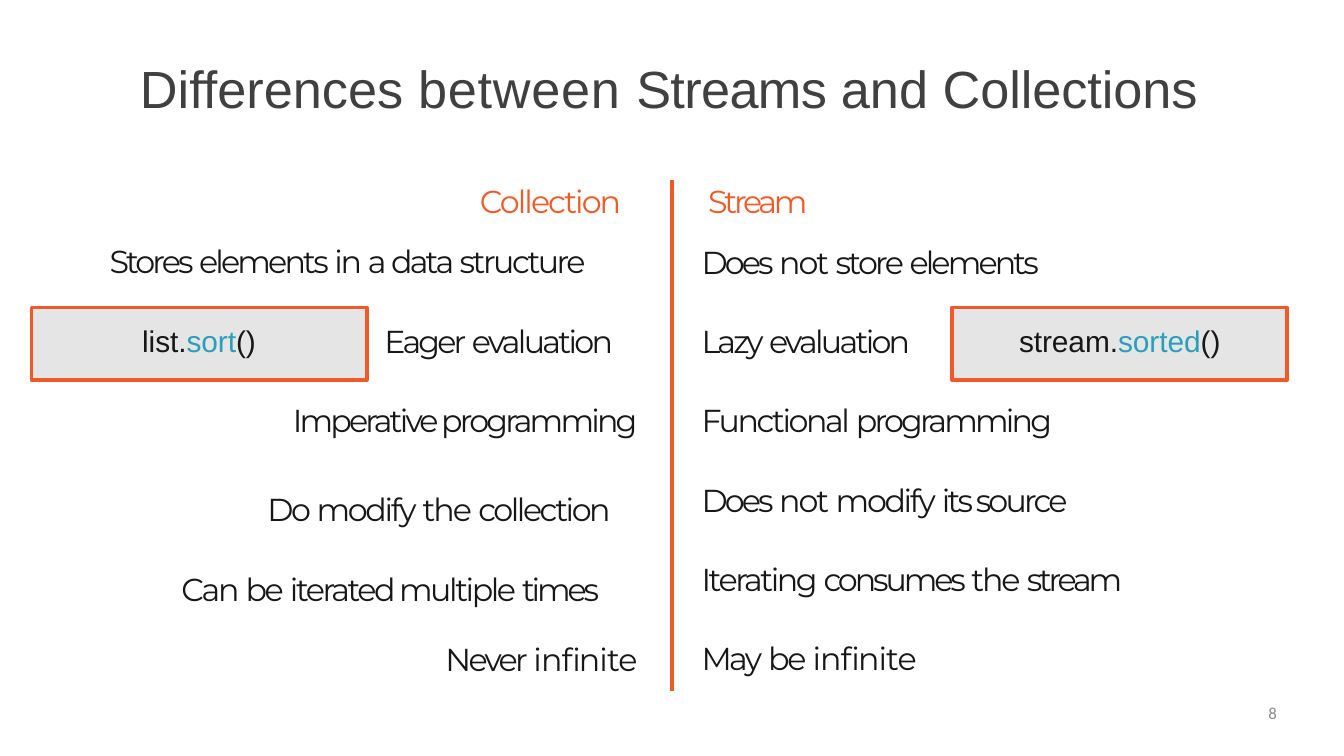
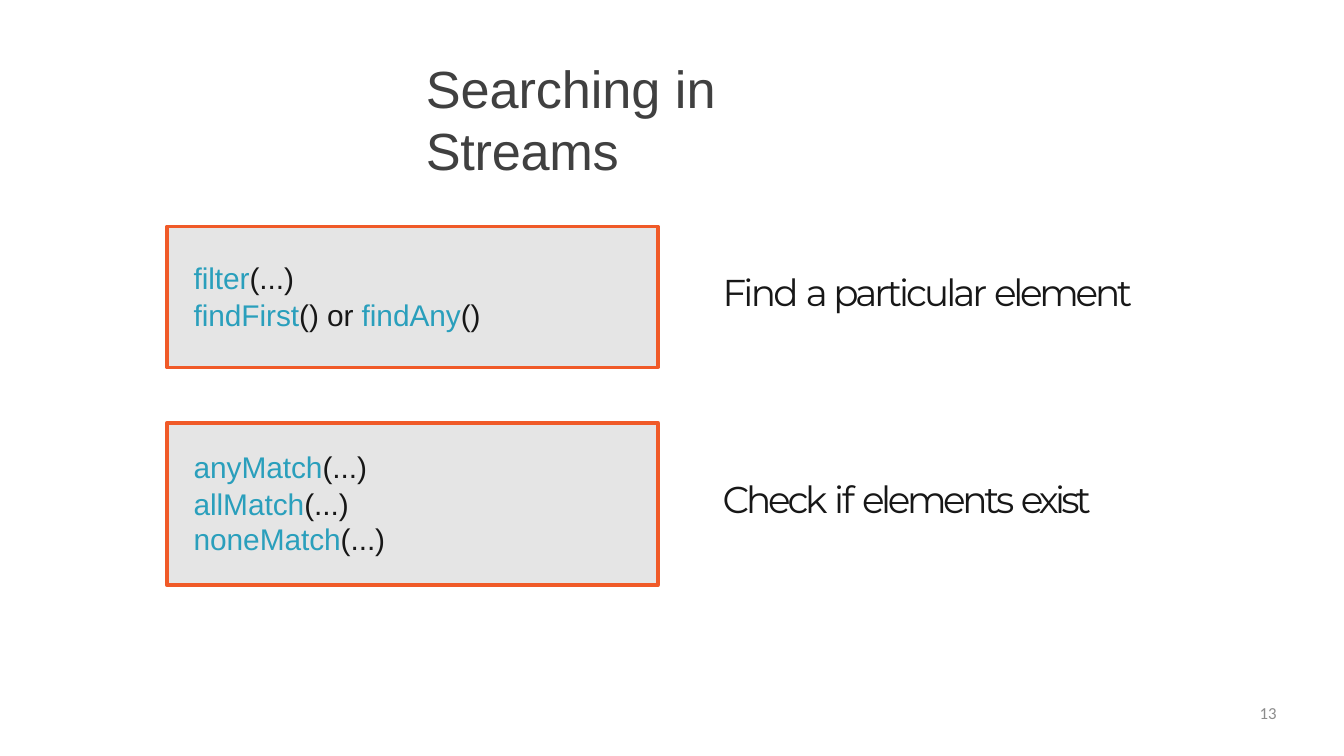
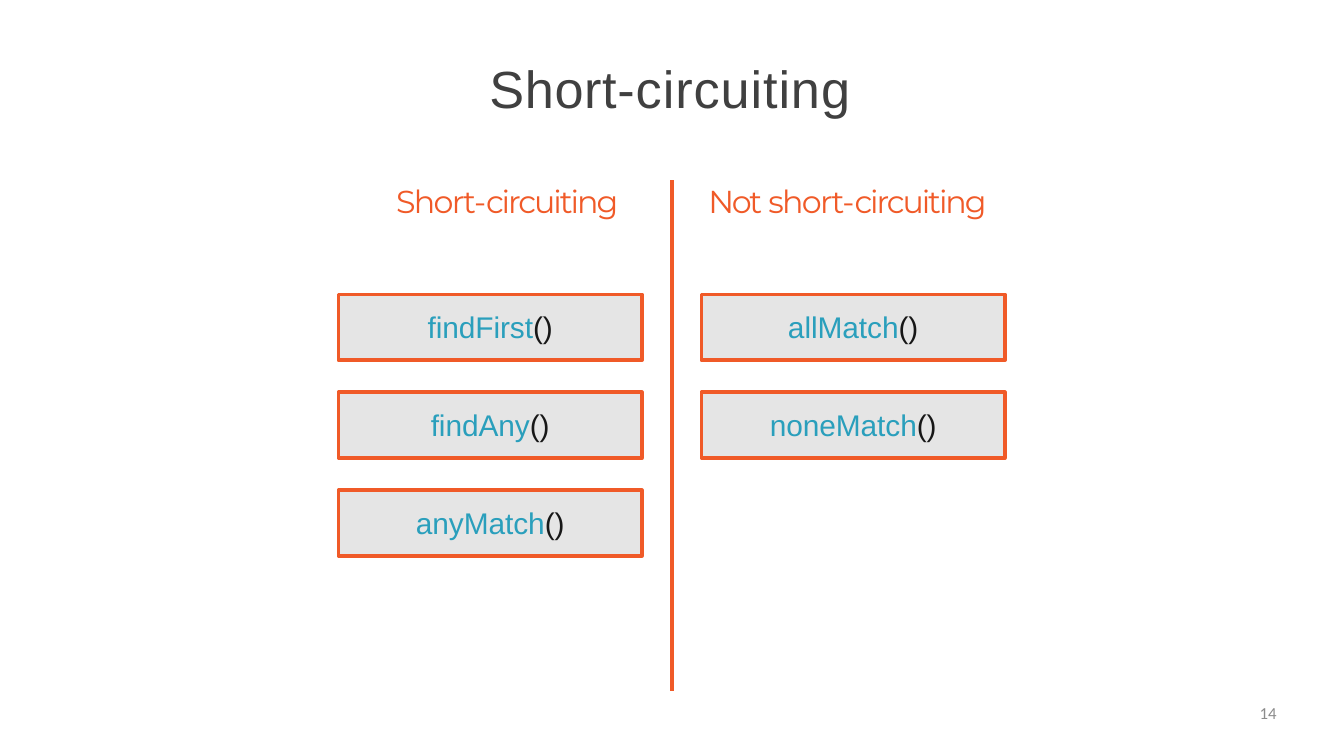
from dataclasses import dataclass, field
from typing import Any, NamedTuple

from pptx import Presentation
from pptx.dml.color import RGBColor
from pptx.enum.shapes import MSO_CONNECTOR, MSO_SHAPE
from pptx.enum.text import MSO_ANCHOR, MSO_AUTO_SIZE, PP_ALIGN
from pptx.oxml.ns import qn
from pptx.util import Cm, Pt

LEFT, MID, RIGHT = PP_ALIGN.LEFT, PP_ALIGN.CENTER, PP_ALIGN.RIGHT
RECT, LINE = MSO_SHAPE.RECTANGLE, MSO_CONNECTOR.STRAIGHT
TOP, FIXED = MSO_ANCHOR.TOP, MSO_AUTO_SIZE.NONE

INK = RGBColor(0x17, 0x17, 0x17)
GREY = RGBColor(0x40, 0x40, 0x40)
PALE = RGBColor(0xE5, 0xE5, 0xE5)
DIM = RGBColor(0x8C, 0x8C, 0x8C)
ORANGE = RGBColor(0xF0, 0x5A, 0x28)
TEAL = RGBColor(0x2A, 0x9F, 0xBC)

SANS, BODY, SMALL = "Arial", "Montserrat", "Calibri"
WIDE, HIGH = 50.8, 28.58
HALF = 26.49
STROKE = Pt(4)
TITLE_ONLY, TWO_LISTS = 5, 3


class Run(NamedTuple):
    text: str
    track: float = 0
    ink: RGBColor = INK


class Box(NamedTuple):
    x: float
    y: float
    w: float
    h: float


@dataclass
class Para:
    runs: list[Run]
    indent: float = 0.03
    form: dict[str, Any] = field(default_factory=dict)


@dataclass
class Block:
    box: Box
    paras: list[Para]
    size: float = 34
    face: str = BODY
    inset: float = 0.03


def style(target: Any, form: dict[str, Any]) -> None:
    for key, value in form.items():
        setattr(target, key, value)


def write(shape: Any, block: Block) -> None:
    box = block.box
    style(shape, {"left": Cm(box.x), "top": Cm(box.y),
                  "width": Cm(box.w), "height": Cm(box.h)})
    frame = shape.text_frame
    style(frame, {"margin_left": 0, "margin_right": 0, "margin_bottom": 0,
                  "margin_top": Cm(block.inset), "word_wrap": True,
                  "auto_size": FIXED, "vertical_anchor": TOP})
    for num, para in enumerate(block.paras):
        line = frame.add_paragraph() if num else frame.paragraphs[0]
        style(line, {"alignment": LEFT, "space_before": Pt(0),
                     "line_spacing": 1.0, **para.form})
        props = line._p.get_or_add_pPr()
        props.set("marL", str(Cm(para.indent)))
        props.set("indent", "0")
        props.append(props.makeelement(qn("a:buNone"), {}))
        for part in para.runs:
            run = line.add_run()
            run.text = part.text
            style(run.font, {"size": Pt(block.size), "name": block.face})
            run.font.color.rgb = part.ink
            run.font._element.set("spc", str(round(part.track * 100)))


def add_text(slide: Any, block: Block) -> None:
    write(slide.shapes.add_textbox(0, 0, 0, 0), block)


def add_code(slide: Any, box: Box, paras: list[Para], inset: float) -> None:
    shape = slide.shapes.add_shape(RECT, 0, 0, 0, 0)
    shape.shadow.inherit = False
    shape.fill.solid()
    shape.fill.fore_color.rgb = PALE
    shape.line.color.rgb = ORANGE
    shape.line.width = STROKE
    write(shape, Block(box, paras, 32, SANS, inset))


def add_rule(slide: Any) -> None:
    mid = Cm(WIDE / 2)
    rule = slide.shapes.add_connector(LINE, mid, Cm(6.81), mid, Cm(26.14))
    rule.line.color.rgb = ORANGE
    rule.line.width = STROKE
    props = rule._element.spPr
    props.append(props.makeelement(qn("a:effectLst"), {}))


def add_slide(deck: Any, kind: int, width: float, title: list[Run],
              number: str) -> Any:
    slide = deck.slides.add_slide(deck.slide_layouts[kind])
    head = Box((WIDE - width) / 2, 2.08, width, 2.44)
    runs = [part._replace(ink=GREY) for part in title]
    write(slide.shapes.title, Block(head, [Para(runs)], 56, SANS))
    foot = [Para([Run(number, ink=DIM)], 0, {"alignment": RIGHT})]
    add_text(slide, Block(Box(36.58, 26.57, 11.68, 1.42), foot, 18, SMALL, 0))
    return slide


def call(name: str, lead: str = "", tail: str = "()") -> list[Run]:
    runs = [Run(lead, -0.1)] if lead else []
    return runs + [Run(name, -0.1, TEAL), Run(tail, -0.1)]


def compare(deck: Any) -> None:
    title = [Run("Differences "), Run("between ", 0.8), Run("Streams ", -0.7),
             Run("and "), Run("Collections", -0.1)]
    slide = add_slide(deck, TWO_LISTS, 40.28, title, "8")
    add_rule(slide)

    tall = {"line_spacing": Pt(85.2)}
    loose = {"line_spacing": 2.08}
    left = [
        Para([Run("Imperative programming", -3)], 0, {"alignment": RIGHT}),
        Para([Run("Do ", -2.8), Run("modify ", -2.5), Run("the ", -2.2),
              Run("collection", -2.6)], 3.28, {**tall, "space_before": Pt(10)}),
        Para([Run("Can ", -2.5), Run("be ", -2.4),
              Run("iterated multiple ", -2.6), Run("times", -3.4)], form=tall),
        Para([Run("Never ", -2.9), Run("infinite", -1)], 0,
             {"alignment": RIGHT, "space_before": Pt(33.9)}),
    ]
    right = [
        Para([Run("Functional ", -2.6), Run("programming", -3)]),
        Para([Run("Does ", -3.1), Run("not ", -2.1), Run("modify ", -2.5),
              Run("its source", -3)], form={"space_before": Pt(44.1)}),
        Para([Run("Iterating ", -2.6), Run("consumes ", -3.3),
              Run("the ", -2.2), Run("stream", -3.5)], form=loose),
        Para([Run("May", -2.9), Run(" be ", -2.4), Run("infinite", -1)],
             form=loose),
    ]
    lists = [Block(Box(6.83, 15.14, 17.27, 10.52), left),
             Block(Box(HALF, 15.14, 17.48, 10.52), right)]
    for spot, block in enumerate(lists, 1):
        write(slide.placeholders[spot], block)

    for x, runs in ((1.19, call("sort", "list.")),
                    (35.99, call("sorted", "stream."))):
        add_code(slide, Box(x, 11.63, 12.67, 2.74),
                 [Para(runs, 0, {"alignment": MID})], 0.55)
    for x, width, word in ((14.5, 9.63, "Eager "), (HALF, 8.89, "Lazy ")):
        add_text(slide, Block(Box(x, 12.14, width, 1.5),
                              [Para([Run(word, -3), Run("evaluation", -2.9)])]))

    airy = {"line_spacing": 1.59}
    stores = [
        Para([Run("Collection", -2.1, ORANGE)], 14.03, airy),
        Para([Run("Stores ", -3.1), Run("elements ", -3), Run("in ", -2.5),
              Run("a ", -4.1), Run("data ", -3.1), Run("structure", -2.7)],
             form=airy),
    ]
    flows = [
        Para([Run("Stream", -3.5, ORANGE)], 0.28),
        Para([Run("Does ", -3.1), Run("not ", -2.1), Run("store ", -2.9),
              Run("elements", -3.1)], form={"space_before": Pt(24)}),
    ]
    add_text(slide, Block(Box(HALF, 5.99, 13.94, 4.65), flows, inset=0.89))
    add_text(slide, Block(Box(4.11, 5.99, 20.02, 4.65), stores))


def search(deck: Any) -> None:
    title = [Run("Searching ", -0.1), Run("in "), Run("Streams", -0.3)]
    slide = add_slide(deck, TITLE_ONLY, 18.67, title, "13")
    dots = "(...)"
    gap = {"space_before": Pt(0.8)}
    step = {"line_spacing": Pt(38.1)}
    find = [
        Para(call("filter", tail=dots), 1),
        Para(call("findFirst", tail="() or ") + call("findAny"), 1, gap),
    ]
    match = [
        Para(call("anyMatch", tail=dots), 1),
        Para(call("allMatch", tail=dots), 1, {**step, **gap}),
        Para(call("noneMatch", tail=dots), 1, step),
    ]
    add_code(slide, Box(6.32, 8.56, 18.54, 5.33), find, 1.27)
    add_code(slide, Box(6.32, 15.98, 18.54, 6.15), match, 0.99)
    notes = (
        (10.16, [Run("Find ", -2.8), Run("a ", -4.8),
                 Run("particular ", -3.2), Run("element", -3.5)]),
        (17.98, [Run("Check ", -3.4), Run("if ", -2.4),
                 Run("elements ", -3.6), Run("exist", -4)]),
    )
    for y, runs in notes:
        add_text(slide, Block(Box(27.28, y, 16.8, 1.75), [Para(runs)], 40))


def circuit(deck: Any) -> None:
    title = [Run("Short-", 0.7), Run("circuiting", 1)]
    slide = add_slide(deck, TITLE_ONLY, 13.87, title, "14")
    add_rule(slide)
    end = Run("circuiting", -2.2, ORANGE)
    heads = (
        (14.94, 9.12, [Run("Short-", -1.8, ORANGE), end]),
        (26.75, 11.35, [Run("Not ", -2.5, ORANGE),
                        Run("short-", -1.8, ORANGE), end]),
    )
    for x, width, runs in heads:
        add_text(slide, Block(Box(x, 6.86, width, 1.5), [Para(runs)]))
    cols = ((12.8, ("findFirst", "findAny", "anyMatch")),
            (26.52, ("allMatch", "noneMatch")))
    for x, names in cols:
        for row, name in enumerate(names):
            add_code(slide, Box(x, 11.13 + 3.7 * row, 11.46, 2.49),
                     [Para(call(name), 0, {"alignment": MID})], 0.54)


def main() -> None:
    deck = Presentation()
    style(deck, {"slide_width": Cm(WIDE), "slide_height": Cm(HIGH)})
    for build in (compare, search, circuit):
        build(deck)
    deck.save("out.pptx")


if __name__ == "__main__":
    main()
